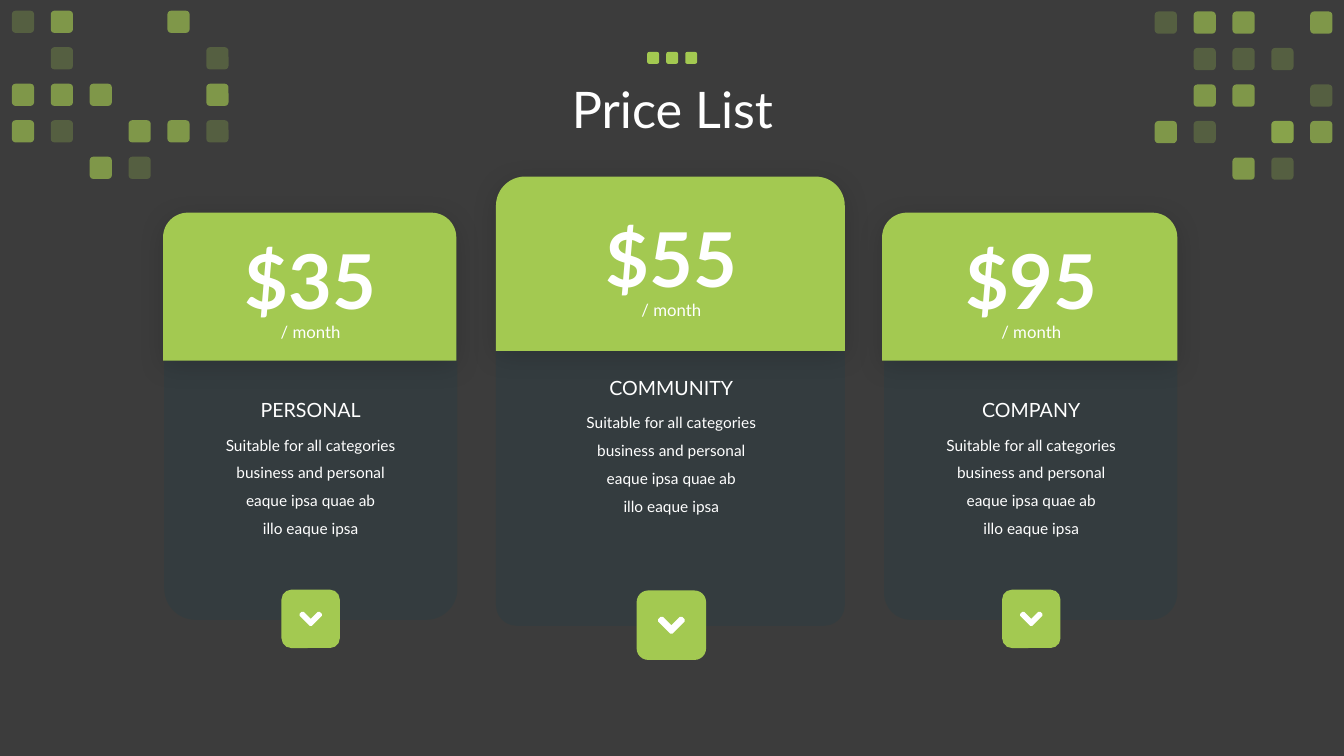
from dataclasses import dataclass

from lxml.etree import SubElement
from pptx import Presentation
from pptx.dml.color import RGBColor
from pptx.enum.shapes import MSO_SHAPE as Preset
from pptx.enum.text import MSO_ANCHOR as Anchor, MSO_AUTO_SIZE as AutoSize, PP_ALIGN as Align
from pptx.oxml.ns import qn
from pptx.util import Cm, Pt


@dataclass(frozen=True)
class Theme:
    font: str = "Lato"
    background: str = "3C3C3C"
    panel: str = "313C41"
    accent: str = "A3C951"
    text: str = "FFFFFF"
    shadow: str = "000000"
    title_size: int = 36
    price_size: int = 54
    name_size: int = 14
    period_size: int = 12
    body_size: int = 11


@dataclass(frozen=True)
class Plan:
    name: str
    price: str
    center: float
    price_top: float
    panel: tuple
    corner: float
    header: tuple
    button_top: float
    button_size: float


PLANS = [
    Plan("PERSONAL", "$35", 7.83, 5.77, (4.14, 7.82, 7.39, 7.8), 0.107,
         (4.11, 5.36, 7.39, 3.73), 14.86, 1.47),
    Plan("COMMUNITY", "$55", 16.92, 5.21, (12.5, 6.55, 8.79, 9.22), 0.059,
         (12.5, 4.45, 8.79, 4.39), 14.88, 1.75),
    Plan("COMPANY", "$95", 25.99, 5.77, (22.28, 7.82, 7.39, 7.8), 0.091,
         (22.23, 5.36, 7.44, 3.73), 14.86, 1.47),
]
DESCRIPTION = [
    "Suitable for all categories business and personal",
    "eaque ipsa quae ab",
    "illo eaque ipsa",
]
LEFT_TILES = ["o#..#.", ".o...o", "###..#", "#o.##o", "..#o.."]
RIGHT_TILES = ["o##.#", ".ooo.", ".##.o", "#o.X#", "..#o."]
TILE_ALPHAS = {".": (), "o": (25,), "#": (65,), "X": (65, 25)}
CHEVRON_WIDTH, CHEVRON_HEIGHT = 22, 14
CHEVRON_HALF = [
    (11, 14), (9.8, 13.6), (9, 13), (1, 5), (0.3, 4.1), (0, 3), (0.3, 1.9),
    (1, 1), (2, 0.3), (3, 0), (4, 0.3), (5, 1), (11, 7.4),
]


class SlideBuilder:
    def __init__(self, slide, theme):
        self.slide = slide
        self.theme = theme
        fill = slide.background.fill
        fill.solid()
        fill.fore_color.rgb = RGBColor.from_string(theme.background)

    def paint(self, shape, color, alpha=100):
        shape.shadow.inherit = False
        shape.fill.solid()
        shape.fill.fore_color.rgb = RGBColor.from_string(color)
        shape.line.fill.background()
        if alpha < 100:
            color_node = shape._element.spPr.find(qn("a:solidFill")).find(qn("a:srgbClr"))
            SubElement(color_node, qn("a:alpha"), val=str(alpha * 1000))

    def box(self, bounds, color, preset=Preset.ROUNDED_RECTANGLE, alpha=100, group=None):
        shapes = group.shapes if group else self.slide.shapes
        shape = shapes.add_shape(preset, *map(Cm, bounds))
        self.paint(shape, color, alpha)
        return shape

    def cast_shadow(self, shape):
        effects = shape._element.spPr.find(qn("a:effectLst"))
        shadow = SubElement(effects, qn("a:outerShdw"), blurRad=str(Pt(19)),
                            dist=str(Pt(4)), dir="5400000", algn="t", rotWithShape="0")
        color_node = SubElement(shadow, qn("a:srgbClr"), val=self.theme.shadow)
        SubElement(color_node, qn("a:alpha"), val="15000")

    def fill_paragraph(self, paragraph, text, size, bold=False, spacing=1.0):
        paragraph.alignment = Align.CENTER
        paragraph.line_spacing = spacing
        run = paragraph.add_run()
        run.text = text
        run.font.name = self.theme.font
        run.font.size = Pt(size)
        run.font.bold = bold
        run.font.color.rgb = RGBColor.from_string(self.theme.text)

    def title(self, text, bounds):
        shape = self.slide.shapes.title
        shape.left, shape.top, shape.width, shape.height = map(Cm, bounds)
        shape.text_frame.vertical_anchor = Anchor.MIDDLE
        paragraph = shape.text_frame.paragraphs[0]
        self.fill_paragraph(paragraph, text, self.theme.title_size, spacing=0.9)

    def label(self, lines, center, top, width, height, size, bold=False, spacing=1.0):
        shape = self.slide.shapes.add_textbox(
            Cm(center - width / 2), Cm(top), Cm(width), Cm(height))
        frame = shape.text_frame
        frame.word_wrap = True
        frame.auto_size = AutoSize.SHAPE_TO_FIT_TEXT
        for index, line in enumerate(lines):
            paragraph = frame.add_paragraph() if index else frame.paragraphs[0]
            self.fill_paragraph(paragraph, line, size, bold, spacing)

    def chevron(self, center, middle, width):
        unit = width / CHEVRON_WIDTH
        mirrored = [(CHEVRON_WIDTH - x, y) for x, y in reversed(CHEVRON_HALF[1:-1])]
        points = CHEVRON_HALF + mirrored
        outline = self.slide.shapes.build_freeform(*points[0], scale=Cm(unit))
        outline.add_line_segments(points[1:], close=True)
        shape = outline.convert_to_shape(
            Cm(center - width / 2), Cm(middle - CHEVRON_HEIGHT * unit / 2))
        self.paint(shape, self.theme.text)

    def plan(self, plan):
        theme = self.theme
        panel = self.box(plan.panel, theme.panel, alpha=65)
        panel.adjustments[0] = plan.corner
        header = self.box(plan.header, theme.accent, Preset.ROUND_2_SAME_RECTANGLE)
        self.cast_shadow(header)
        center, top = plan.center, plan.price_top
        self.label([plan.price], center, top, 4.2, 2.57, theme.price_size, bold=True)
        self.label(["/ month"], center, top + 1.97, 2.8, 0.91, theme.period_size, spacing=1.5)
        self.label([plan.name], center, top + 4.13, 4.88, 0.86, theme.name_size)
        self.label(DESCRIPTION, center, top + 4.85, 5.36, 3, theme.body_size, spacing=1.5)
        size = plan.button_size
        self.box((center - size / 2, plan.button_top, size, size), theme.accent)
        self.chevron(center, plan.button_top + size / 2, size * 0.38)

    def tiles(self, rows, left, top, size, column_pitch, row_pitch=0.0, alphas=TILE_ALPHAS):
        group = self.slide.shapes.add_group_shape()
        for row, marks in enumerate(rows):
            for column, mark in enumerate(marks):
                for alpha in alphas[mark]:
                    bounds = (left + column * column_pitch, top + row * row_pitch, size, size)
                    self.box(bounds, self.theme.accent, alpha=alpha, group=group)


def main():
    presentation = Presentation()
    presentation.slide_width = Cm(33.87)
    presentation.slide_height = Cm(19.05)
    slide = presentation.slides.add_slide(presentation.slide_layouts[5])
    builder = SlideBuilder(slide, Theme())
    builder.title("Price List", (2.34, 0.99, 29.21, 3.68))
    for plan in PLANS:
        builder.plan(plan)
    builder.tiles(LEFT_TILES, 0.3, 0.27, 0.56, 0.98, 0.92)
    builder.tiles(RIGHT_TILES, 29.1, 0.29, 0.56, 0.98, 0.92)
    builder.tiles(["***"], 16.31, 1.31, 0.3, 0.48, alphas={"*": (100,)})
    presentation.save("out.pptx")


if __name__ == "__main__":
    main()
